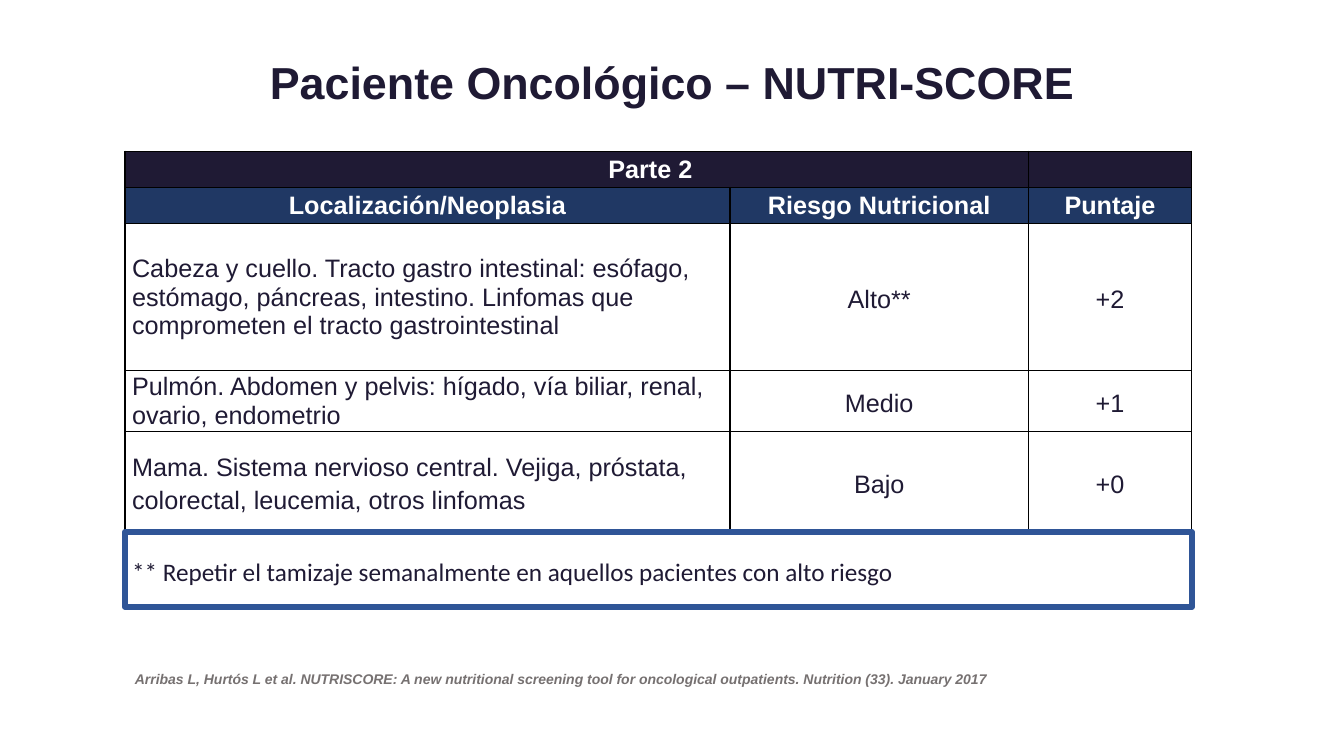
from lxml import etree
from pptx import Presentation
from pptx.dml.color import RGBColor
from pptx.enum.shapes import MSO_SHAPE
from pptx.enum.text import MSO_ANCHOR, PP_ALIGN
from pptx.oxml.ns import qn
from pptx.util import Inches, Pt

CENTER, LEFT = PP_ALIGN.CENTER, PP_ALIGN.LEFT
MIDDLE, TOP = MSO_ANCHOR.MIDDLE, MSO_ANCHOR.TOP
RECT = MSO_SHAPE.RECTANGLE

COLORS = {"ink": "1F1A34", "navy": "203864", "white": "FFFFFF",
          "black": "000000", "blue": "2F5597", "gray": "767171"}

TITLE = "Paciente Oncológico – NUTRI-SCORE"
SOURCE = ("Arribas L, Hurtós L et al. NUTRISCORE: A new nutritional screening tool "
          "for oncological outpatients. Nutrition (33). January 2017")
ROWS = [
    ("Parte 2", "", ""),
    ("Localización/Neoplasia", "Riesgo Nutricional", "Puntaje"),
    ("Cabeza y cuello. Tracto gastro intestinal: esófago, estómago, páncreas, intestino. "
     "Linfomas que comprometen el tracto gastrointestinal", "Alto**", "+2"),
    ("Pulmón. Abdomen y pelvis: hígado, vía biliar, renal, ovario, endometrio", "Medio", "+1"),
    ("Mama. Sistema nervioso central. Vejiga, próstata, colorectal, leucemia, otros linfomas",
     "Bajo", "+0"),
    ("** Repetir el tamizaje semanalmente en aquellos pacientes con alto riesgo", "", ""),
]
COL_WIDTHS = [6, 2.96, 1.62]
ROW_HEIGHTS = [0.36, 0.36, 1.46, 0.59, 1.01, 0.74]
HEADER_FILLS = ["ink", "navy"]
TABLE_LEFT, TABLE_TOP = 1.24, 1.5
PART_INDENT = 1.46
CELL_MARGIN = 0.07
SINGLE_SPACED_ROWS = (2, 3)
NOTE_ROW = len(ROWS) - 1


def rgb(name):
    return RGBColor.from_string(COLORS[name])


def write(tf, text, size=18, color="ink", font="Arial", bold=False, italic=False,
          align=LEFT, spacing=1.0):
    p = tf.paragraphs[0]
    p.alignment = align
    p.line_spacing = spacing
    r = p.add_run()
    r.text = text
    r.font.size = Pt(size)
    r.font.name = font
    r.font.bold = bold
    r.font.italic = italic
    r.font.color.rgb = rgb(color)


def add_text(s, box, text, anchor=TOP, **fmt):
    tf = s.shapes.add_textbox(*map(Inches, box)).text_frame
    tf.word_wrap = True
    tf.vertical_anchor = anchor
    write(tf, text, **fmt)


def set_borders(cell, color, width):
    tc_pr = cell._tc.get_or_add_tcPr()
    for side in ("lnL", "lnR", "lnT", "lnB"):
        ln = etree.SubElement(tc_pr, qn(f"a:{side}"), w=str(Pt(width)))
        fill = etree.SubElement(ln, qn("a:solidFill"))
        etree.SubElement(fill, qn("a:srgbClr"), val=COLORS[color])


def add_score_table(s):
    frame = s.shapes.add_table(len(ROWS), len(COL_WIDTHS), Inches(TABLE_LEFT), Inches(TABLE_TOP),
                               Inches(sum(COL_WIDTHS)), Inches(sum(ROW_HEIGHTS)))
    table = frame.table
    table.first_row = table.horz_banding = False
    for col, width in zip(table.columns, COL_WIDTHS):
        col.width = Inches(width)
    for row, height in zip(table.rows, ROW_HEIGHTS):
        row.height = Inches(height)
    for i, texts in enumerate(ROWS):
        header = i < len(HEADER_FILLS)
        for j, text in enumerate(texts):
            cell = table.cell(i, j)
            cell.margin_left = cell.margin_right = Inches(CELL_MARGIN)
            cell.margin_top = cell.margin_bottom = 0
            cell.vertical_anchor = TOP if header else MIDDLE
            set_borders(cell, "black", 1)
            cell.fill.solid()
            cell.fill.fore_color.rgb = rgb(HEADER_FILLS[i] if header else "white")
            if text:
                write(cell.text_frame, text, bold=header,
                      color="white" if header else "ink",
                      font="Calibri" if i == NOTE_ROW else "Arial",
                      align=CENTER if header or j else LEFT,
                      spacing=1.0 if i in SINGLE_SPACED_ROWS and j == 0 else 1.15)
    table.cell(0, 0).margin_left = Inches(CELL_MARGIN + PART_INDENT)
    table.cell(0, 0).merge(table.cell(0, 1))
    table.cell(NOTE_ROW, 0).merge(table.cell(NOTE_ROW, 2))


def add_note_frame(s):
    top = TABLE_TOP + sum(ROW_HEIGHTS[:NOTE_ROW])
    sp = s.shapes.add_shape(RECT, Inches(TABLE_LEFT), Inches(top),
                            Inches(sum(COL_WIDTHS)), Inches(ROW_HEIGHTS[NOTE_ROW]))
    sp.shadow.inherit = False
    sp.fill.background()
    sp.line.color.rgb = rgb("blue")
    sp.line.width = Pt(4.5)


def main():
    prs = Presentation()
    prs.slide_width, prs.slide_height = Inches(13.33), Inches(7.5)
    s = prs.slides.add_slide(prs.slide_layouts[6])
    add_text(s, (2.46, 0.12, 8.42, 1.45), TITLE, anchor=MIDDLE, size=32, bold=True,
             align=CENTER, spacing=0.9)
    add_text(s, (1.24, 6.6, 11.24, 0.27), SOURCE, size=10, color="gray", bold=True, italic=True)
    add_score_table(s)
    add_note_frame(s)
    prs.save("out.pptx")


if __name__ == "__main__":
    main()
